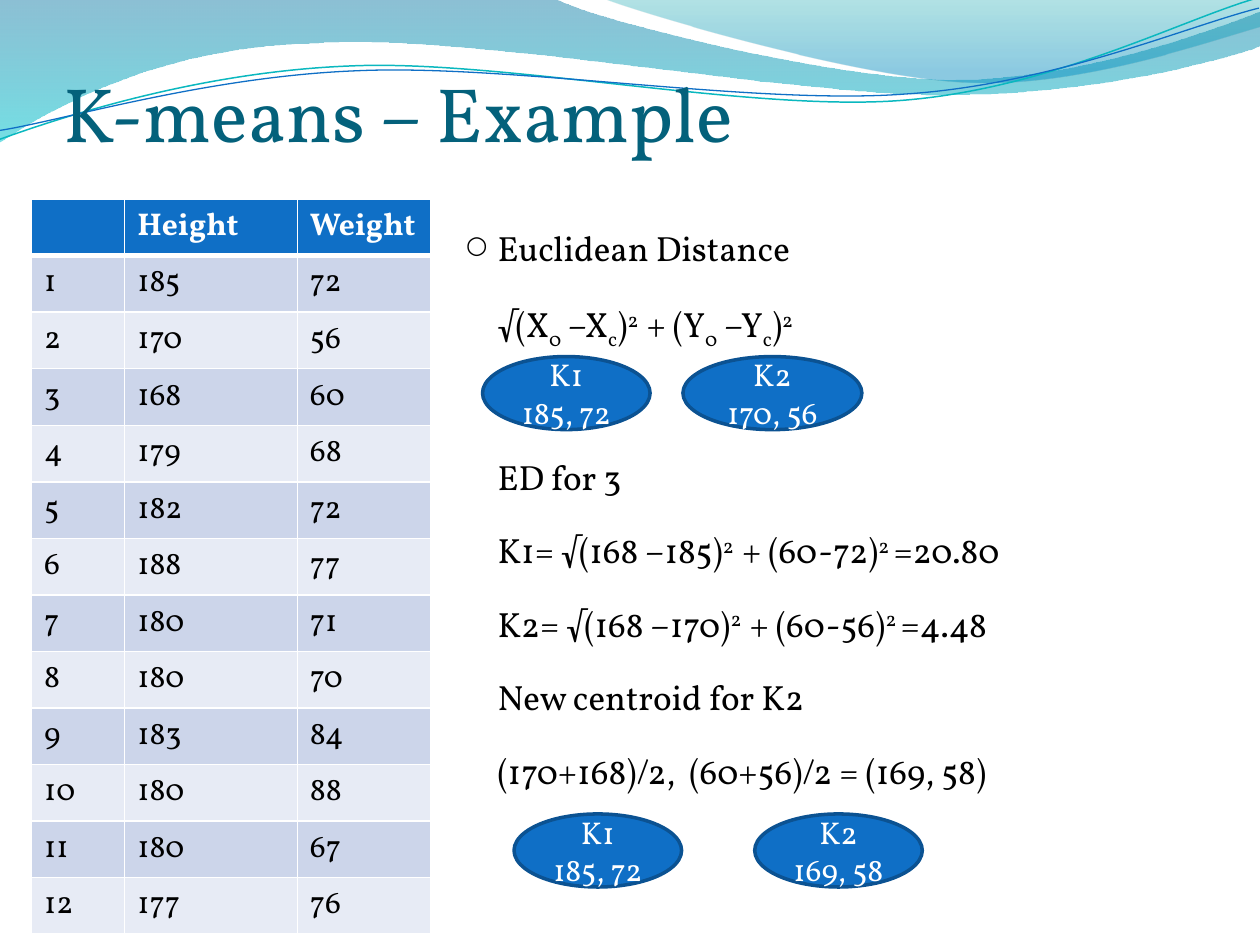
from lxml.etree import SubElement
from pptx import Presentation
from pptx.dml.color import RGBColor
from pptx.enum.shapes import MSO_SHAPE
from pptx.enum.text import MSO_ANCHOR, MSO_AUTO_SIZE, PP_ALIGN
from pptx.oxml import parse_xml
from pptx.oxml.ns import nsdecls, qn
from pptx.util import Inches, Pt

FONT = "Vollkorn"
COLORS = {
    "title": "04617B", "text": "000000", "white": "FFFFFF",
    "blue": "0F6FC6", "outline": "0B5292",
    "band_dark": "CCD5EA", "band_light": "E7EBF5",
    "wave_blue": "0074A1", "wave_cyan": "00C6CF",
    "wave_teal": "00A1A9", "wave_sky": "008BBF", "line_teal": "0AB8BF",
}


def set_font(paragraph, size, color, bold=False):
    font = paragraph.font
    font.name, font.size, font.bold = FONT, Pt(size), bold
    font.color.rgb = RGBColor.from_string(COLORS[color])


def add_wave(shapes, start, segments, closed):
    """Draw a freeform; a segment is a line end (2 numbers) or a Bézier (6 numbers)."""
    points = [(Inches(segment[i]), Inches(segment[i + 1]))
              for segment in segments for i in range(0, len(segment), 2)]
    builder = shapes.build_freeform(Inches(start[0]), Inches(start[1]), scale=1.0)
    builder.add_line_segments(points, close=closed)
    wave = builder.convert_to_shape()
    wave.shadow.inherit = False
    lines = list(wave.element.iter(qn("a:lnTo")))
    for segment in segments:
        count = len(segment) // 2
        group, lines = lines[:count], lines[count:]
        if count == 3:
            group[0].tag = qn("a:cubicBezTo")
            for line in group[1:]:
                group[0].append(line[0])
                line.getparent().remove(line)
    return wave


presentation = Presentation()
presentation.slide_width, presentation.slide_height = Inches(10), Inches(7.5)
slide = presentation.slides.add_slide(presentation.slide_layouts[5])
shapes = slide.shapes

# Header waves: start, segments, gradient stops (position, colour, opacity %)
bands = [
    ((0, 0),
     [(4.4, -0.01), (4.76, 0.17, 6.64, 0.63, 7.58, 0.63), (8.53, 0.63, 9.58, 0.26, 10, 0.09),
      (10.01, 0.36), (9.83, 0.44, 8.7, 0.76, 7.46, 0.75), (6.22, 0.75, 3.82, 0.28, 2.57, 0.34),
      (1.29, 0.36, 0.46, 0.83, -0.01, 1.13)],
     [(0, "wave_blue", 45), (1, "wave_cyan", 55)]),
    ((4.79, -0.01),
     [(5.09, 0.11, 6.82, 0.62, 7.69, 0.65), (8.56, 0.69, 9.61, 0.32, 10, 0.21), (10, 0)],
     [(0, "wave_teal", 30), (0.8, "wave_sky", 45)]),
]
for start, segments, stops in bands:
    band = add_wave(shapes, start, segments, True)
    band.line.fill.background()
    band.fill.gradient()
    band.fill.gradient_angle = 270
    for stop, (position, color, _) in zip(band.fill.gradient_stops, stops):
        stop.position = position
        stop.color.rgb = RGBColor.from_string(COLORS[color])
    for color_element, (_, _, opacity) in zip(band.element.spPr.iter(qn("a:srgbClr")), stops):
        SubElement(color_element, qn("a:alpha")).set("val", str(opacity * 1000))

curves = [
    ((-0.02, 0.87), [(0.47, 0.72, 1.58, 0.41, 2.78, 0.42), (3.96, 0.42, 5.91, 0.93, 7.12, 0.9),
                     (8.32, 0.87, 9.4, 0.36, 10, 0.22)], "line_teal", 0.85),
    ((-0.02, 0.8), [(0.46, 0.75, 1.64, 0.45, 2.83, 0.46), (4.03, 0.46, 5.96, 0.88, 7.16, 0.85),
                    (8.35, 0.83, 9.42, 0.42, 10.01, 0.3)], "blue", 0.75),
]
for start, segments, color, width in curves:
    curve = add_wave(shapes, start, segments, False)
    curve.rotation = 357.3
    curve.fill.background()
    curve.line.color.rgb = RGBColor.from_string(COLORS[color])
    curve.line.width = Pt(width)

# Title, in front of the waves
title = shapes.title
title.element.getparent().append(title.element)
title.left, title.top, title.width, title.height = Inches(0.5), Inches(0), Inches(9), Inches(1.25)
frame = title.text_frame
frame.text = "K-means – Example"
frame.auto_size = MSO_AUTO_SIZE.NONE
frame.vertical_anchor = MSO_ANCHOR.BOTTOM
frame.margin_left = frame.margin_right = frame.margin_bottom = 0
frame.margin_top = Inches(0.05)
frame.paragraphs[0].alignment = PP_ALIGN.LEFT
set_font(frame.paragraphs[0], 44, "title")

# Data table
measurements = [(185, 72), (170, 56), (168, 60), (179, 68), (182, 72), (188, 77),
                (180, 71), (180, 70), (183, 84), (180, 88), (180, 67), (177, 76)]
rows = [("", "Height", "Weight")]
rows += [(number, *pair) for number, pair in enumerate(measurements, 1)]
row_height = 0.41
table = shapes.add_table(len(rows), 3, Inches(0.25), Inches(1.58), Inches(3.17),
                         Inches(row_height * len(rows))).table
for column, width in zip(table.columns, (0.74, 1.37, 1.06)):
    column.width = Inches(width)
for row_index, row in enumerate(rows):
    table.rows[row_index].height = Inches(row_height)
    header = row_index == 0
    fill = "blue" if header else "band_dark" if row_index % 2 else "band_light"
    for column_index, value in enumerate(row):
        cell = table.cell(row_index, column_index)
        cell.text = str(value)
        cell.fill.solid()
        cell.fill.fore_color.rgb = RGBColor.from_string(COLORS[fill])
        set_font(cell.text_frame.paragraphs[0], 18, "white" if header else "text", header)
        if header:
            cell._tc.get_or_add_tcPr().insert(0, parse_xml(
                f'<a:lnB {nsdecls("a")} w="{Pt(3)}"><a:solidFill>'
                f'<a:srgbClr val="{COLORS["white"]}"/></a:solidFill></a:lnB>'))

# Worked example: each line is a list of (text, baseline shift %)
SUB, SUP = -25, 30
lines = [
    [("Euclidean Distance", 0)],
    [("√(X", 0), ("0", SUB), (" –X", 0), ("c", SUB), (")", 0), ("2  ", SUP),
     ("+ (Y", 0), ("0", SUB), (" –Y", 0), ("c", SUB), (")", 0), ("2", SUP)],
    [("ED for 3", 0)],
    [("K1= √(168 –185)", 0), ("2  ", SUP), ("+ (60-72)", 0), ("2 ", SUP), ("=20.80", 0)],
    [("K2= √(168 –170)", 0), ("2  ", SUP), ("+ (60-56)", 0), ("2 ", SUP), ("=4.48", 0)],
    [("New centroid for K2", 0)],
    [("(170+168)/2,  (60+56)/2 = (169, 58)", 0)],
]
space_before = [0, 6, 48, 6, 6, 6, 6]  # the large gap leaves room for the ellipses
frame = shapes.add_textbox(Inches(3.55), Inches(1.58), Inches(6.21), Inches(5.91)).text_frame
frame.word_wrap = True
for index, (line, space) in enumerate(zip(lines, space_before)):
    paragraph = frame.add_paragraph() if index else frame.paragraphs[0]
    paragraph.level = 1
    paragraph.alignment = PP_ALIGN.JUSTIFY
    paragraph.line_spacing = 1.5
    paragraph.space_before = Pt(space)
    properties = paragraph._p.get_or_add_pPr()
    properties.set("marL", str(Inches(0.3)))
    properties.set("indent", str(Inches(0 if index else -0.25)))
    if index == 0:
        SubElement(properties, qn("a:buSzPct")).set("val", "70000")
        SubElement(properties, qn("a:buFont")).set("typeface", FONT)
        SubElement(properties, qn("a:buChar")).set("char", "○")
    set_font(paragraph, 20, "text")
    for text, shift in line:
        run = paragraph.add_run()
        run.text = text
        if shift:
            run._r.get_or_add_rPr().set("baseline", str(shift * 1000))

# Centroids before and after the update
centroids = [(3.83, 2.83, 1.33, "K1", "185, 72"), (5.42, 2.83, 1.42, "K2", "170, 56"),
             (5.99, 6.46, 1.33, "K2", "169, 58"), (4.08, 6.46, 1.33, "K1", "185, 72")]
for left, top, width, name, position in centroids:
    ellipse = shapes.add_shape(MSO_SHAPE.OVAL, Inches(left), Inches(top),
                               Inches(width), Inches(0.58))
    ellipse.shadow.inherit = False
    ellipse.fill.solid()
    ellipse.fill.fore_color.rgb = RGBColor.from_string(COLORS["blue"])
    ellipse.line.color.rgb = RGBColor.from_string(COLORS["outline"])
    ellipse.line.width = Pt(2)
    ellipse.text_frame.text = f"{name}\n{position}"
    ellipse.text_frame.vertical_anchor = MSO_ANCHOR.MIDDLE
    for paragraph in ellipse.text_frame.paragraphs:
        paragraph.alignment = PP_ALIGN.CENTER
        set_font(paragraph, 18, "white")

presentation.save("out.pptx")
